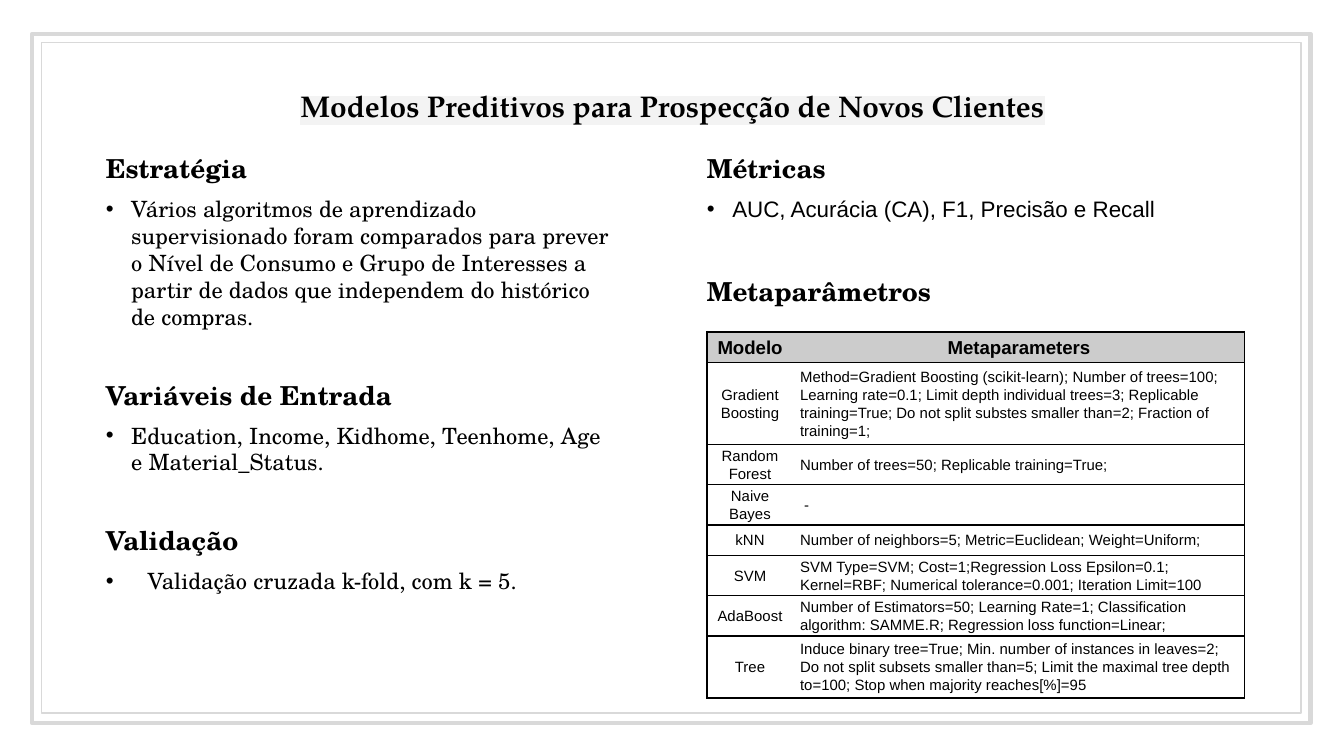
from lxml.etree import SubElement
from pptx import Presentation
from pptx.dml.color import RGBColor
from pptx.enum.shapes import MSO_SHAPE as Shape
from pptx.enum.text import MSO_ANCHOR as Anchor, PP_ALIGN as Align
from pptx.oxml.ns import qn
from pptx.util import Cm, Pt

COLORS = {"text": "000000", "frame": "D9D9D9", "highlight": "F3F3F3",
          "header": "CCCCCC", "border": "000000"}
SERIF, TITLE_FACE, SANS = "TeX Gyre Schola", "TeX Gyre Pagella", "Arial"

TITLE = "Modelos Preditivos para Prospecção de Novos Clientes"
# Each topic: heading, bullet text, bullet font, bullet indent in cm
STRATEGY_TOPICS = [
    ("Estratégia", "Vários algoritmos de aprendizado supervisionado foram comparados para "
     "prever o Nível de Consumo e Grupo de Interesses a partir de dados que independem do "
     "histórico de compras.", SERIF, 0.48),
    ("Variáveis de Entrada", "Education, Income, Kidhome, Teenhome, Age e Material_Status.",
     SERIF, 0.48),
    ("Validação", "Validação cruzada k-fold, com k = 5.", SERIF, 0.79),
]
METRIC_TOPICS = [
    ("Métricas", "AUC, Acurácia (CA), F1, Precisão e Recall", SANS, 0.48),
    ("Metaparâmetros", None, None, None),
]
# Each panel: topics, left, width (cm), space before later headings (pt)
PANELS = [(STRATEGY_TOPICS, 1.75, 10.16, 26.4), (METRIC_TOPICS, 13.11, 10.52, 28.5)]
PANEL_TOP, PANEL_HEIGHT = 2.64, 10.41

# Each frame: left, top, width, height (cm), line width (pt)
FRAMES = [(0.61, 0.64, 24.16, 13.03, 2.25), (0.79, 0.81, 23.8, 12.67, 0.75)]

# Each model: name, metaparameters, lines of text in its row
MODELS = [
    ("Modelo", "Metaparameters", 1),
    ("Gradient Boosting", "Method=Gradient Boosting (scikit-learn); Number of trees=100; "
     "Learning rate=0.1; Limit depth individual trees=3; Replicable training=True; "
     "Do not split substes smaller than=2; Fraction of training=1;", 4),
    ("Random Forest", "Number of trees=50; Replicable training=True;", 2),
    ("Naive Bayes", " -", 2),
    ("kNN", "Number of neighbors=5; Metric=Euclidean; Weight=Uniform;", 1),
    ("SVM", "SVM Type=SVM; Cost=1;Regression Loss Epsilon=0.1; Kernel=RBF; "
     "Numerical tolerance=0.001; Iteration Limit=100", 2),
    ("AdaBoost", "Number of Estimators=50; Learning Rate=1; Classification algorithm: "
     "SAMME.R; Regression loss function=Linear;", 2),
    ("Tree", "Induce binary tree=True; Min. number of instances in leaves=2; Do not split "
     "subsets smaller than=5; Limit the maximal tree depth to=100; "
     "Stop when majority reaches[%]=95", 3),
]
COLUMN_WIDTHS = (1.63, 8.53)
ROW_HEIGHTS = {1: 0.58, 2: 0.76, 3: 1.17, 4: 1.55}

BOX_FORMAT = {"word_wrap": True, "margin_left": Cm(0.25), "margin_right": Cm(0.25),
              "margin_top": Cm(0.25), "margin_bottom": Cm(0.25)}
CELL_FORMAT = {"vertical_anchor": Anchor.MIDDLE, "margin_left": Cm(0.13),
               "margin_right": Cm(0.13), "margin_top": 0, "margin_bottom": 0}


def color(key):
    return RGBColor.from_string(COLORS[key])


def apply(target, values):
    for attribute, value in values.items():
        setattr(target, attribute, value)


def add_run(paragraph, words, face, size, bold=False):
    run = paragraph.add_run()
    run.text = words
    run.font.color.rgb = color("text")
    apply(run.font, {"name": face, "size": Pt(size), "bold": bold})
    return run


def add_color(parent, tag, key):
    SubElement(SubElement(parent, qn(tag)), qn("a:srgbClr"), val=COLORS[key])


def add_bullet(paragraph, indent):
    properties = paragraph._p.get_or_add_pPr()
    properties.set("marL", str(Cm(indent)))
    properties.set("indent", str(-Cm(indent)))
    add_color(properties, "a:buClr", "text")
    SubElement(properties, qn("a:buFont"), typeface=SANS)
    SubElement(properties, qn("a:buChar"), char="•")


def add_box(slide, left, top, width, height):
    frame = slide.shapes.add_textbox(Cm(left), Cm(top), Cm(width), Cm(height)).text_frame
    apply(frame, BOX_FORMAT)
    return frame


def add_frames(slide):
    for left, top, width, height, weight in FRAMES:
        border = slide.shapes.add_shape(Shape.RECTANGLE, Cm(left), Cm(top),
                                        Cm(width), Cm(height))
        border.shadow.inherit = False
        border.fill.background()
        border.line.color.rgb = color("frame")
        border.line.width = Pt(weight)


def add_panel(slide, topics, left, width, gap):
    frame = add_box(slide, left, PANEL_TOP, width, PANEL_HEIGHT)
    for index, (heading, detail, face, indent) in enumerate(topics):
        paragraph = frame.add_paragraph() if index else frame.paragraphs[0]
        if index:
            paragraph.space_before = Pt(gap)
        add_run(paragraph, heading, SERIF, 14, True)
        if detail:
            paragraph = frame.add_paragraph()
            paragraph.space_before = Pt(6)
            add_bullet(paragraph, indent)
            add_run(paragraph, detail, face, 12)


def add_title(slide):
    frame = add_box(slide, 1.09, 0.94, 23.24, 2.11)
    frame.vertical_anchor = Anchor.MIDDLE
    heading = frame.paragraphs[0]
    heading.alignment = Align.CENTER
    run = add_run(heading, TITLE, TITLE_FACE, 16, True)
    properties = run._r.get_or_add_rPr()
    add_color(properties, "a:highlight", "highlight")
    properties.find(qn("a:solidFill")).addnext(properties.find(qn("a:highlight")))


def set_borders(cell, hidden):
    """Draw every side in the border colour, except the hidden one."""
    properties = cell._tc.get_or_add_tcPr()
    for side in ("a:lnL", "a:lnR", "a:lnT", "a:lnB"):
        line = SubElement(properties, qn(side), w=str(Pt(1)))
        if side == hidden:
            SubElement(line, qn("a:noFill"))
        else:
            add_color(line, "a:solidFill", "border")


def add_models(slide):
    heights = [ROW_HEIGHTS[lines] for *_, lines in MODELS]
    table = slide.shapes.add_table(len(MODELS), 2, Cm(13.36), Cm(6.27),
                                   Cm(sum(COLUMN_WIDTHS)), Cm(sum(heights))).table
    apply(table, {"first_row": False, "horz_banding": False})
    for column, width in zip(table.columns, COLUMN_WIDTHS):
        column.width = Cm(width)
    for index, (name, parameters, _) in enumerate(MODELS):
        table.rows[index].height = Cm(heights[index])
        header = index == 0
        for position, words in enumerate((name, parameters)):
            cell = table.cell(index, position)
            apply(cell, CELL_FORMAT)
            set_borders(cell, "a:lnL" if position else "a:lnR")
            if header:
                cell.fill.solid()
                cell.fill.fore_color.rgb = color("header")
            else:
                cell.fill.background()
            paragraph = cell.text_frame.paragraphs[0]
            centred = header or position == 0
            apply(paragraph, {"line_spacing": 1.07,
                              "alignment": Align.CENTER if centred else Align.LEFT})
            add_run(paragraph, words, SANS, 10 if header else 8, header)


def main():
    deck = Presentation()
    apply(deck, {"slide_width": Cm(25.4), "slide_height": Cm(14.29)})
    slide = deck.slides.add_slide(deck.slide_layouts[6])
    add_frames(slide)
    for panel in PANELS:
        add_panel(slide, *panel)
    add_title(slide)
    add_models(slide)
    deck.save("out.pptx")


if __name__ == "__main__":
    main()
